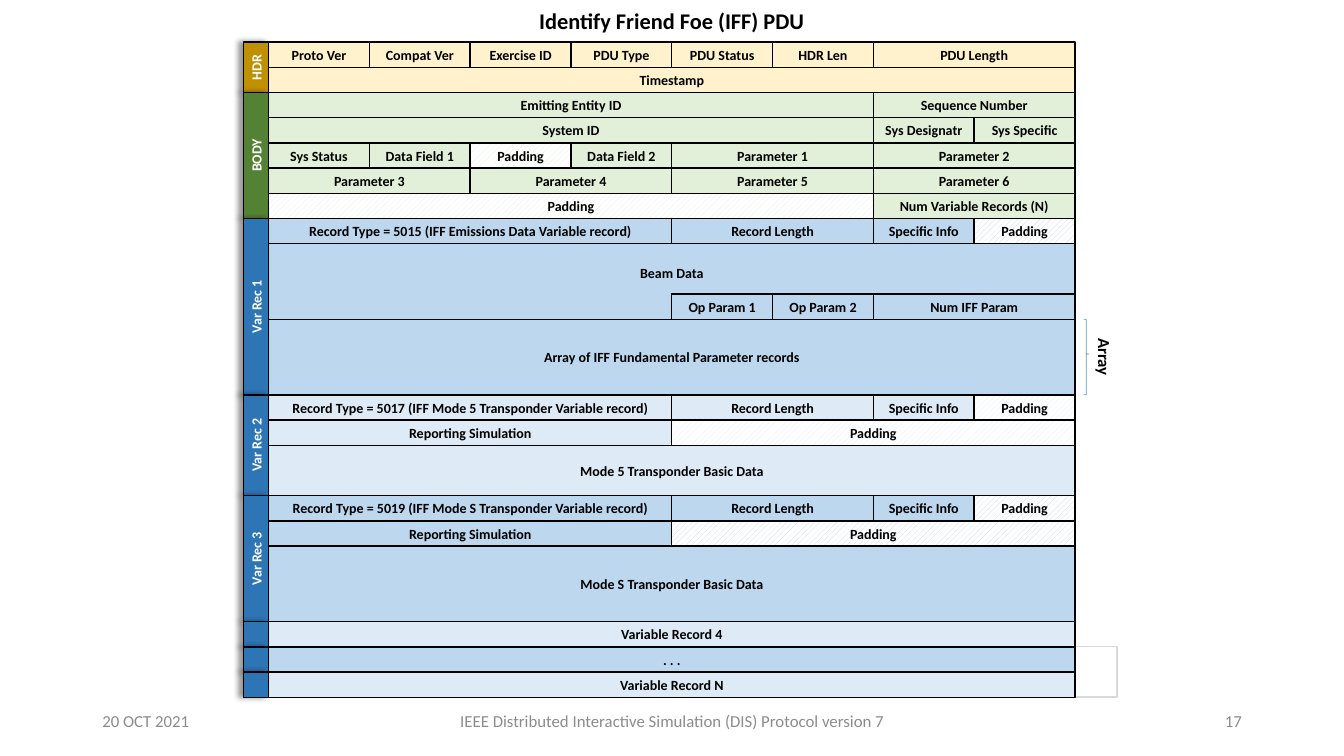
"""Build the slide that maps the fields of the IFF PDU."""
import pptx
import pptx.dml.color
import pptx.enum.dml
import pptx.enum.shapes
import pptx.enum.text
import pptx.oxml
import pptx.oxml.ns
import pptx.util

Cm = pptx.util.Cm
Pt = pptx.util.Pt
RGB = pptx.dml.color.RGBColor
SHAPE = pptx.enum.shapes.MSO_SHAPE
ALIGN = pptx.enum.text.PP_ALIGN

BLACK = RGB(0x00, 0x00, 0x00)
WHITE = RGB(0xFF, 0xFF, 0xFF)
GREY = RGB(0x8C, 0x8C, 0x8C)
PALE = RGB(0xD9, 0xD9, 0xD9)
CREAM = RGB(0xFF, 0xF2, 0xCC)
GREEN = RGB(0xE2, 0xF0, 0xD9)
BLUE = RGB(0xBD, 0xD7, 0xEE)
ICE = RGB(0xDE, 0xEB, 0xF7)
GOLD = RGB(0xBF, 0x90, 0x00)
MOSS = RGB(0x54, 0x82, 0x35)
NAVY = RGB(0x2E, 0x75, 0xB6)
SKY = RGB(0x5B, 0x9B, 0xD5)

LEFT, TOP = Cm(6.77), Cm(1.06)
COL, ROW = Cm(2.54), Cm(0.635)

SHADOW = (
    '<a:effectLst %s><a:outerShdw blurRad="50800" dist="38100" dir="10800000"'
    ' algn="r" rotWithShape="0"><a:srgbClr val="000000"><a:alpha val="40000"/>'
    '</a:srgbClr></a:outerShdw></a:effectLst>' % pptx.oxml.ns.nsdecls("a"))

FIELDS = [
    (0, 1, CREAM, 0, [("Proto Ver", 1), ("Compat Ver", 1), ("Exercise ID", 1),
                      ("PDU Type", 1), ("PDU Status", 1), ("HDR Len", 1),
                      ("PDU Length", 2)]),
    (1, 1, CREAM, 0, [("Timestamp", 8)]),
    (2, 1, GREEN, 0, [("Emitting Entity ID", 6), ("Sequence Number", 2)]),
    (3, 1, GREEN, 0, [("System ID", 6), ("Sys Designatr", 1),
                      ("Sys Specific", 1)]),
    (4, 1, GREEN, 0, [("Sys Status", 1), ("Data Field 1", 1), ("Padding", 1),
                      ("Data Field 2", 1), ("Parameter 1", 2),
                      ("Parameter 2", 2)]),
    (5, 1, GREEN, 0, [("Parameter %d" % n, 2) for n in range(3, 7)]),
    (6, 1, GREEN, 0, [("Padding", 6), ("Num Variable Records (N)", 2)]),
    (8, 3, BLUE, 0, [("Beam Data", 8)]),
    (10, 1, BLUE, 4, [("Op Param 1", 1), ("Op Param 2", 1),
                      ("Num IFF Param", 2)]),
    (11, 3, BLUE, 0, [("Array of IFF Fundamental Parameter records", 8)]),
    (16, 2, ICE, 0, [("Mode 5 Transponder Basic Data", 8)]),
    (20, 3, BLUE, 0, [("Mode S Transponder Basic Data", 8)]),
    (23, 1, ICE, 0, [("Variable Record 4", 8)]),
    (24, 1, BLUE, 0, [(". . .", 8)]),
    (25, 1, ICE, 0, [("Variable Record N", 8)]),
]
for row, tone, kind in [(7, BLUE, "5015 (IFF Emissions Data"),
                        (14, ICE, "5017 (IFF Mode 5 Transponder"),
                        (18, BLUE, "5019 (IFF Mode S Transponder")]:
    FIELDS.append((row, 1, tone, 0, [
        ("Record Type = %s Variable record)" % kind, 4),
        ("Record Length", 2), ("Specific Info", 1), ("Padding", 1)]))
for row, tone in [(15, ICE), (19, BLUE)]:
    FIELDS.append((row, 1, tone, 0, [("Reporting Simulation", 4),
                                     ("Padding", 4)]))

BANDS = [(0, 2, GOLD, "HDR"), (2, 5, MOSS, "BODY"), (7, 7, NAVY, "Var Rec 1"),
         (14, 4, NAVY, "Var Rec 2"), (18, 5, NAVY, "Var Rec 3"),
         (23, 1, NAVY, ""), (24, 1, NAVY, ""), (25, 1, NAVY, "")]


def write(shape, text, size=10, tone=BLACK, bold=True, align=ALIGN.CENTER):
    frame = shape.text_frame
    frame.word_wrap = True
    frame.auto_size = pptx.enum.text.MSO_AUTO_SIZE.NONE
    frame.vertical_anchor = pptx.enum.text.MSO_ANCHOR.MIDDLE
    frame.margin_top = frame.margin_bottom = 0
    frame.margin_left = frame.margin_right = 0
    para = frame.paragraphs[0]
    para.text = text
    para.alignment = align
    para.font.name = "Calibri"
    para.font.size = Pt(size)
    para.font.bold = bold
    para.font.color.rgb = tone


def draw(kind, left, top, width, height, fill=None, line=BLACK, weight=1):
    shape = slide.shapes.add_shape(kind, left, top, width, height)
    shape.shadow.inherit = False
    if fill is None:
        shape.fill.background()
    else:
        shape.fill.solid()
        shape.fill.fore_color.rgb = fill
    shape.line.color.rgb = line
    shape.line.width = Pt(weight)
    return shape


deck = pptx.Presentation()
deck.slide_width, deck.slide_height = Cm(33.87), Cm(19.05)
slide = deck.slides.add_slide(deck.slide_layouts[5])

title = slide.shapes.title
title.left, title.top, title.width, title.height = (
    Cm(11.85), Cm(0.21), Cm(10.16), ROW)
write(title, "Identify Friend Foe (IFF) PDU", 16)

frame = draw(SHAPE.RECTANGLE, Cm(26.98), Cm(16.4), Cm(1.27), Cm(1.06), line=PALE)
frame.rotation = 90

for row, high, tone, col, cells in FIELDS:
    for text, span in cells:
        cell = draw(SHAPE.RECTANGLE, LEFT + col * COL, TOP + row * ROW,
                    span * COL, high * ROW, tone)
        if text == "Padding":
            cell.fill.patterned()
            cell.fill.pattern = (
                pptx.enum.dml.MSO_PATTERN.WIDE_UPWARD_DIAGONAL)
            cell.fill.fore_color.rgb = tone
            cell.fill.back_color.rgb = WHITE
        write(cell, text)
        if text == "Beam Data":
            cell.text_frame.margin_bottom = Cm(0.43)
        col += span

for row, high, tone, text in BANDS:
    band = draw(SHAPE.RECTANGLE, LEFT - (high + 1) * ROW // 2,
                TOP + (2 * row + high - 1) * ROW // 2, high * ROW, ROW, tone)
    band.rotation = 270
    props = band.fill._xPr
    props.remove(props.find(pptx.oxml.ns.qn("a:effectLst")))
    props.append(pptx.oxml.parse_xml(SHADOW))
    if text:
        write(band, text, tone=WHITE)

brace = draw(SHAPE.RIGHT_BRACE, Cm(27.31), TOP + 11 * ROW, Cm(0.13), 3 * ROW,
             line=SKY, weight=0.5)
brace.adjustments[0], brace.adjustments[1] = 0.08, 0.46
label = slide.shapes.add_textbox(Cm(27.1), TOP + 12 * ROW, Cm(1.48), ROW)
label.rotation = 90
write(label, "Array", 12)

for left, width, align, text in [
        (2.58, 7.12, ALIGN.LEFT, "20 OCT 2021"),
        (11.23, 11.43, ALIGN.CENTER,
         "IEEE Distributed Interactive Simulation (DIS) Protocol version 7"),
        (24.18, 7.12, ALIGN.RIGHT, "17")]:
    foot = slide.shapes.add_textbox(Cm(left), Cm(17.66), Cm(width), Cm(1.01))
    write(foot, text, 12, GREY, False, align)

deck.save("out.pptx")
